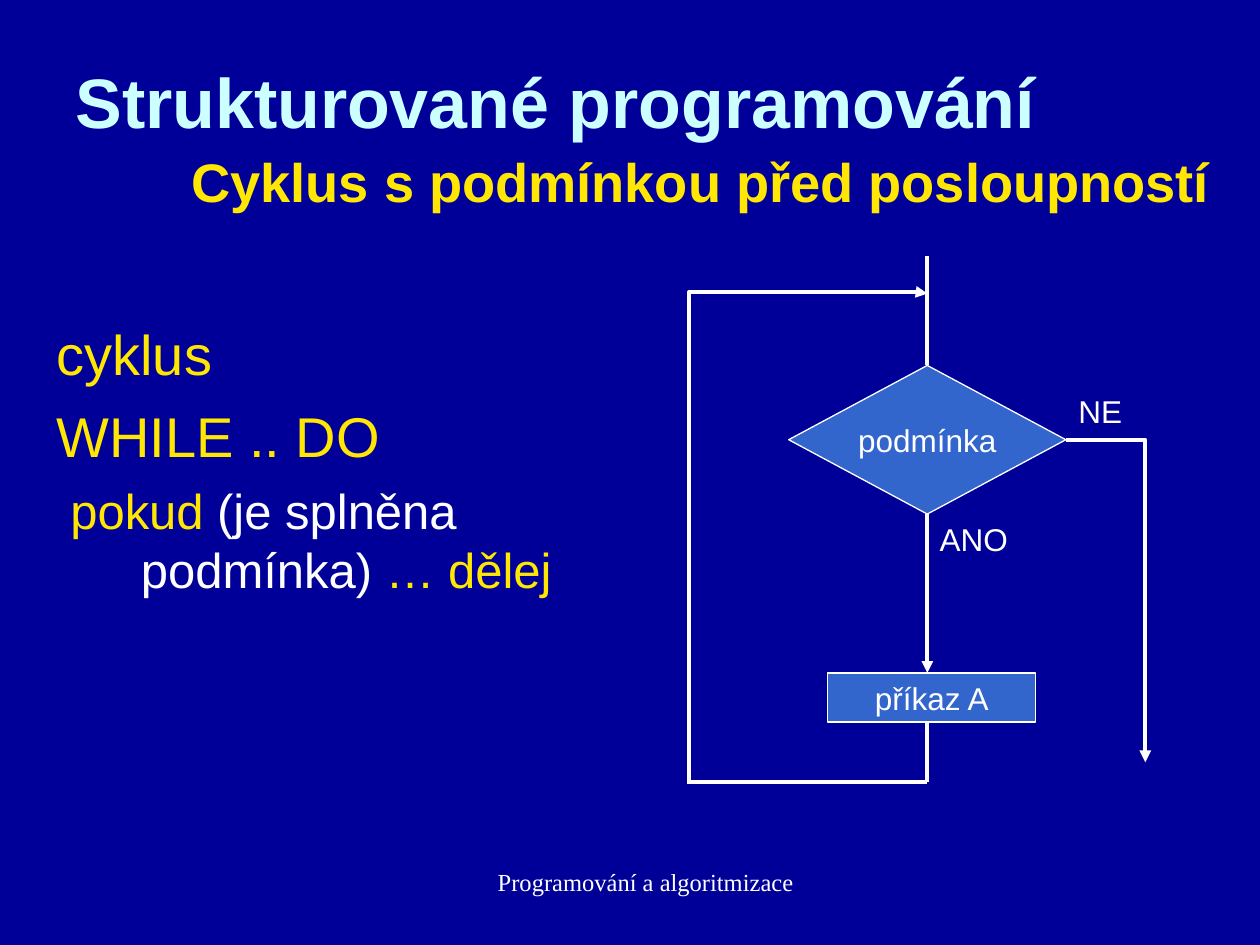
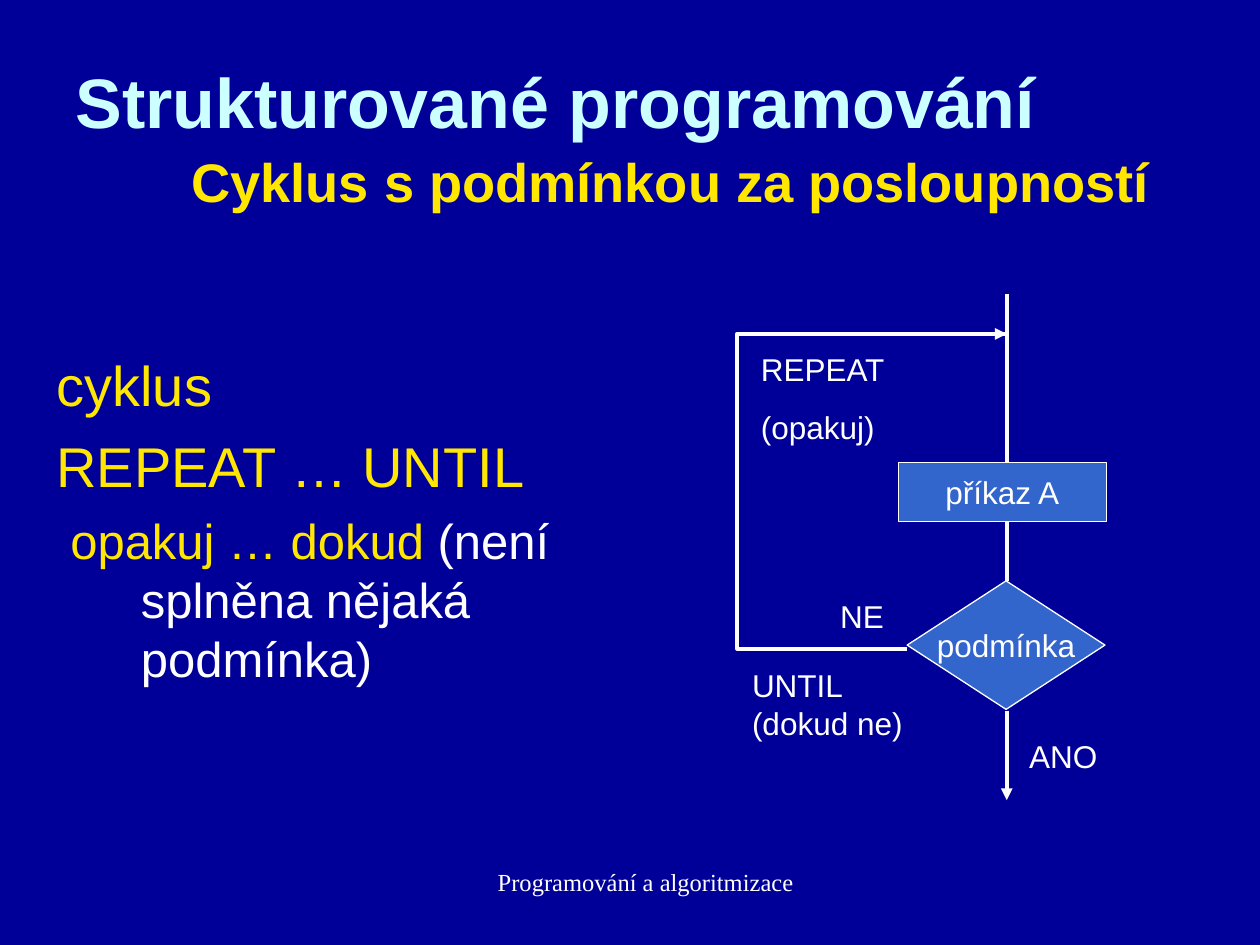
import pptx
import pptx.util
import pptx.dml.color
import pptx.enum.shapes
import pptx.enum.text
import pptx.oxml
import pptx.oxml.ns

Inches = pptx.util.Inches
Pt = pptx.util.Pt
KINDS = pptx.enum.shapes.MSO_SHAPE
LINKS = pptx.enum.shapes.MSO_CONNECTOR
ALIGN = pptx.enum.text.PP_ALIGN
ANCHOR = pptx.enum.text.MSO_ANCHOR

COLORS = {
    "back": "000099",
    "title": "CCFFFF",
    "accent": "FFE701",
    "text": "FFFFFF",
    "node": "3366CC",
}
HEAD = {"name": "Arial", "size": Pt(40), "bold": True}
SUB = {"name": "Arial", "size": Pt(31), "bold": True}
LARGE = {"name": "Arial", "size": Pt(32)}
SMALL = {"name": "Arial", "size": Pt(28)}
LABEL = {"name": "Arial", "size": Pt(18)}
FOOT = {"name": "Times New Roman", "size": Pt(14)}
BOX = {"word_wrap": True, "vertical_anchor": ANCHOR.TOP}
TITLE = {"word_wrap": True, "vertical_anchor": ANCHOR.BOTTOM}
NODE = {"word_wrap": False, "vertical_anchor": ANCHOR.MIDDLE}


def apply(item, values):
    for name, value in values.items():
        setattr(item, name, value)


def paint(color, key):
    color.rgb = pptx.dml.color.RGBColor.from_string(COLORS[key])


def add_sub(parent, tag, **values):
    child = pptx.oxml.ns.qn(tag)
    item = parent.makeelement(child, values)
    parent.append(item)
    return item


def write(frame, runs, font, left=0, first=0, **values):
    para = frame.paragraphs[0]
    if para.runs:
        para = frame.add_paragraph()
    props = para._p.get_or_add_pPr()
    props.set("marL", str(Inches(left)))
    props.set("indent", str(Inches(first)))
    apply(para, values)
    for text, key in runs:
        run = para.add_run()
        run.text = text
        apply(run.font, font)
        paint(run.font.color, key)


def add_box(slide, place, form=BOX):
    box = slide.shapes.add_textbox(*map(Inches, place))
    apply(box.text_frame, form)
    return box.text_frame


def add_label(slide, place, *lines):
    frame = add_box(slide, place)
    for row, line in enumerate(lines):
        space = {"space_before": Pt(11.2)} if row else {}
        write(frame, [(line, "text")], LABEL, **space)


def add_node(slide, kind, place, text):
    node = slide.shapes.add_shape(kind, *map(Inches, place))
    node.shadow.inherit = False
    node.fill.solid()
    paint(node.fill.fore_color, "node")
    paint(node.line.color, "text")
    node.line.width = Pt(0.75)
    apply(node.text_frame, NODE)
    write(node.text_frame, [(text, "text")], LABEL, alignment=ALIGN.CENTER)


def add_line(slide, start, end, arrow=False, kind=LINKS.STRAIGHT):
    line = slide.shapes.add_connector(kind, *map(Inches, start + end))
    paint(line.line.color, "text")
    line.line.width = Pt(2.25)
    if arrow:
        add_sub(line.line._ln, "a:tailEnd", type="triangle")
    add_sub(line._element.spPr, "a:effectLst")
    return line


def add_bend(slide, place, legs, bends=(), flips=(), turn=0, arrow=False):
    left, top, width, height = place
    end = (left + width, top + height)
    line = add_line(slide, (left, top), end, arrow, LINKS.ELBOW)
    line.rotation = turn
    props = line._element.spPr
    for flip in flips:
        props.xfrm.set(flip, "1")
    shape = props.find(pptx.oxml.ns.qn("a:prstGeom"))
    shape.set("prst", f"bentConnector{legs}")
    guides = shape.find(pptx.oxml.ns.qn("a:avLst"))
    for index, bend in enumerate(bends, 1):
        add_sub(guides, "a:gd", name=f"adj{index}", fmla=f"val {bend}")


def add_frame(deck, topic):
    slide = deck.slides.add_slide(deck.slide_layouts[6])
    slide.background.fill.solid()
    paint(slide.background.fill.fore_color, "back")
    frame = add_box(slide, (0.5, 0.3, 9.28, 1.44), TITLE)
    write(frame, [("Strukturované programování", "title")], HEAD)
    write(frame, [(topic, "accent")], SUB, 0.92, space_before=Pt(3))
    foot = add_box(slide, (3.42, 6.83, 3.17, 0.52))
    write(foot, [("Programování a algoritmizace", "text")], FOOT, 0.24,
          alignment=ALIGN.CENTER)
    return slide


def add_body(slide, top, loop, runs):
    frame = add_box(slide, (0.35, top, 4.56, 6.7 - top))
    write(frame, [("cyklus", "accent")], LARGE, 0.67, -0.67)
    write(frame, [(loop, "accent")], LARGE, 0.67, -0.67, space_before=Pt(8))
    write(frame, runs, SMALL, 0.67, -0.56, space_before=Pt(7))


def add_while(deck):
    slide = add_frame(deck, "Cyklus s podmínkou před posloupností")
    add_body(slide, 2.49, "WHILE .. DO", [
        ("pokud", "accent"),
        (" (je splněna podmínka) ", "text"),
        ("… dělej", "accent"),
    ])
    mid = 7.36
    add_node(slide, KINDS.FLOWCHART_DECISION, (6.26, 2.9, 2.2, 1.18), "podmínka")
    add_node(slide, KINDS.FLOWCHART_PROCESS, (6.57, 5.34, 1.65, 0.39), "příkaz A")
    add_line(slide, (mid, 2.03), (mid, 2.9))
    add_line(slide, (mid, 4.08), (mid, 5.34), arrow=True)
    add_line(slide, (mid, 5.73), (mid, 6.21))
    add_line(slide, (mid, 6.21), (5.47, 6.21))
    add_bend(slide, (4.47, 3.33, 3.89, 1.89), 5, (38100, 0, 100300),
             ("flipH", "flipV"), 90, arrow=True)
    add_bend(slide, (8.46, 3.49, 0.63, 2.56), 2, arrow=True)
    add_label(slide, (mid, 4.08, 0.79, 0.4), "ANO")
    add_label(slide, (8.46, 3.06, 0.79, 0.4), "NE")


def add_repeat(deck):
    slide = add_frame(deck, "Cyklus s podmínkou za posloupností")
    add_body(slide, 2.73, "REPEAT … UNTIL", [
        ("opakuj … dokud", "accent"),
        (" (není splněna nějaká podmínka)", "text"),
    ])
    mid = 7.99
    add_node(slide, KINDS.FLOWCHART_PROCESS, (7.13, 3.67, 1.65, 0.47), "příkaz A")
    add_node(slide, KINDS.FLOWCHART_DECISION, (7.2, 4.61, 1.57, 1.02), "podmínka")
    add_line(slide, (mid, 2.33), (mid, 3.67))
    add_line(slide, (mid, 4.14), (mid, 4.61))
    add_line(slide, (mid, 5.64), (mid, 6.35), arrow=True)
    add_bend(slide, (7.2, 3.2, 0.79, 1.95), 4, (-170700, 128300),
             ("flipH",), 180)
    add_line(slide, (7.68, 2.65), (mid, 2.65), arrow=True)
    add_label(slide, (8.07, 5.8, 0.79, 0.4), "ANO")
    add_label(slide, (6.57, 4.69, 0.63, 0.4), "NE")
    add_label(slide, (5.94, 2.73, 1.65, 0.86), "REPEAT", "(opakuj)")
    add_label(slide, (5.87, 5.24, 1.42, 0.7), "UNTIL (dokud ne)")


def main():
    deck = pptx.Presentation()
    apply(deck, {"slide_width": Inches(10), "slide_height": Inches(7.5)})
    add_while(deck)
    add_repeat(deck)
    deck.save("out.pptx")


if __name__ == "__main__":
    main()
